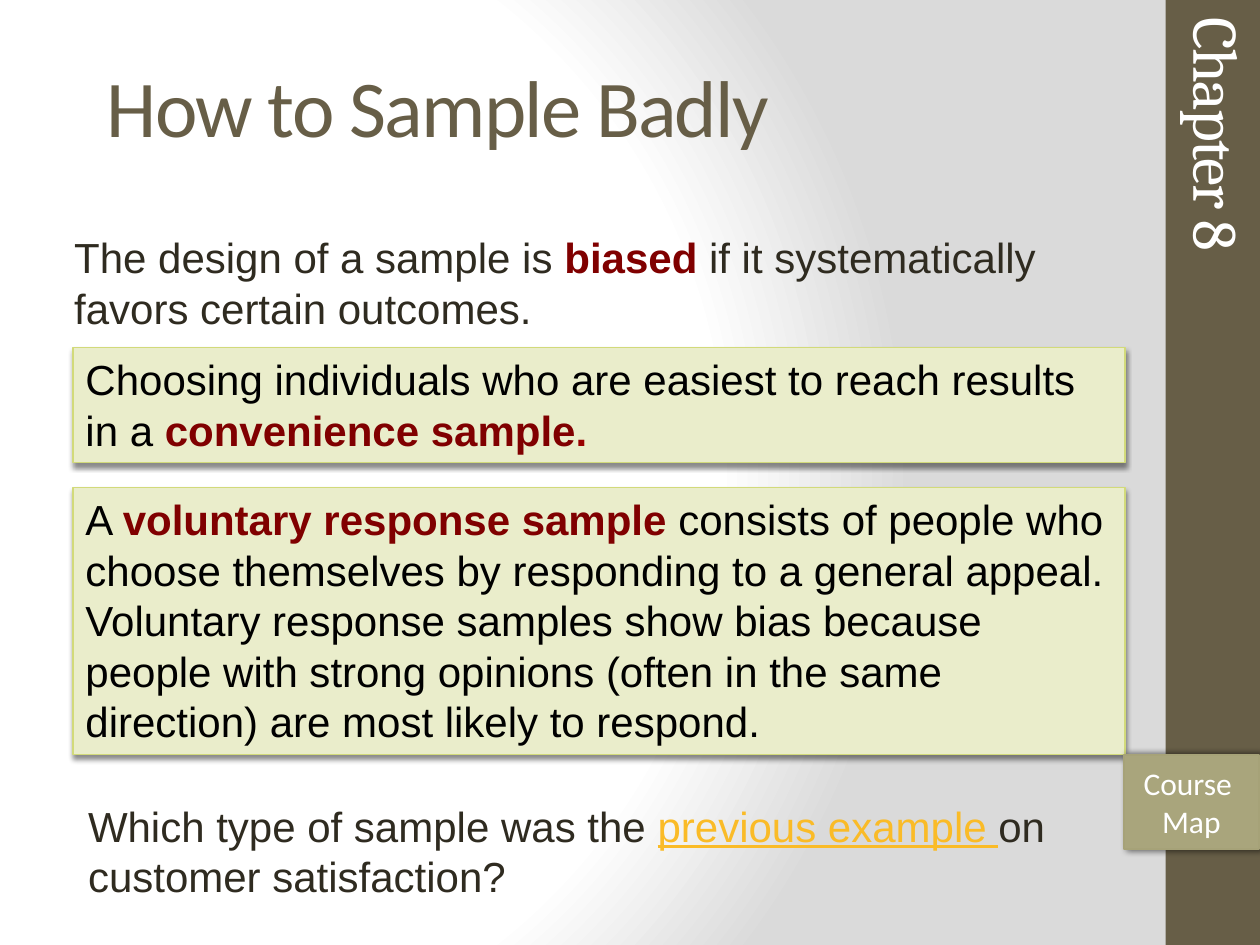
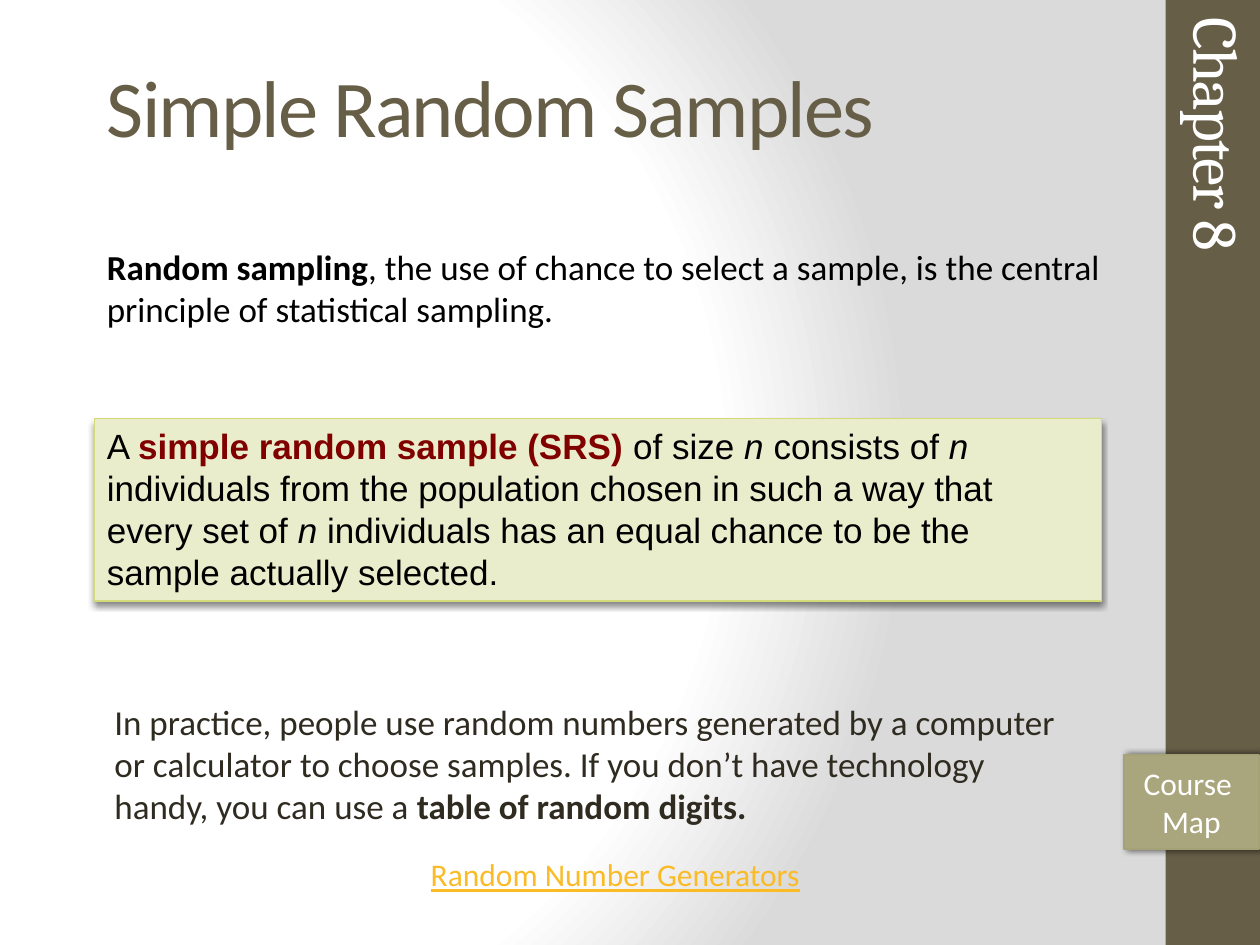
from collections import namedtuple

from lxml.etree import SubElement
from pptx import Presentation
from pptx.dml.color import RGBColor
from pptx.enum.shapes import MSO_SHAPE
from pptx.enum.text import MSO_ANCHOR, MSO_AUTO_SIZE, PP_ALIGN
from pptx.oxml import parse_xml
from pptx.oxml.ns import nsdecls, qn
from pptx.util import Inches, Pt

Box = namedtuple("Box", "left top width height")
PAGE = Box(0, 0, 10, 7.5)
BAND_WIDTH = 0.75

WHITE = RGBColor(0xFF, 0xFF, 0xFF)
BLACK = RGBColor(0, 0, 0)
BACKDROP_GREY = RGBColor(0xDA, 0xDA, 0xDA)
BROWN = RGBColor(0x67, 0x5E, 0x47)
KHAKI = RGBColor(0xA9, 0xA5, 0x7C)
KHAKI_EDGE = RGBColor(0xA6, 0xA2, 0x78)
INK = RGBColor(0x2F, 0x2B, 0x20)
MAROON = RGBColor(0x80, 0, 0)
RED = RGBColor(0x99, 0, 0)
LINK = RGBColor(0xFA, 0xBB, 0x27)
PANEL = RGBColor(0xEA, 0xED, 0xCB)
PANEL_EDGE = RGBColor(0xD2, 0xDA, 0x7A)

TERM = dict(bold=True, color=MAROON)
BOLD = dict(bold=True)
ITALIC = dict(italic=True)
LINKED = dict(underline=True, color=LINK)


def inches(box):
    return [Inches(length) for length in box]


def write(shape, runs, font="Calibri", size=20, color=BLACK, align=PP_ALIGN.LEFT,
          anchor=MSO_ANCHOR.TOP, wrap=True, spacing=None, grow=False):
    frame = shape.text_frame
    frame.word_wrap = wrap
    frame.vertical_anchor = anchor
    frame.auto_size = MSO_AUTO_SIZE.SHAPE_TO_FIT_TEXT if grow else MSO_AUTO_SIZE.NONE
    paragraph = frame.paragraphs[0]
    paragraph.alignment = align
    for text, look in runs:
        for number, line in enumerate(text.split("\n")):
            if number:
                paragraph.add_line_break()
            run = paragraph.add_run()
            run.text = line
            run.font.name = font
            run.font.size = Pt(size)
            run.font.bold = look.get("bold", False)
            run.font.italic = look.get("italic", False)
            run.font.underline = look.get("underline", False)
            run.font.color.rgb = look.get("color", color)
            if spacing is not None:
                run.font._element.set("spc", str(spacing * 100))


def add_label(slide, box, runs, rotation=0, **text_format):
    label = slide.shapes.add_textbox(*inches(box))
    label.rotation = rotation
    write(label, runs, **text_format)


def add_block(slide, box, fill, edge=None, edge_width=1, kind=MSO_SHAPE.RECTANGLE):
    block = slide.shapes.add_shape(kind, *inches(box))
    block.shadow.inherit = False
    block.fill.solid()
    block.fill.fore_color.rgb = fill
    if edge is None:
        block.line.fill.background()
    else:
        block.line.color.rgb = edge
        block.line.width = Pt(edge_width)
    return block


def cast_shadow(shape, opacity, blur, distance, direction):
    effects = shape._element.spPr.find(qn("a:effectLst"))
    shadow = SubElement(effects, qn("a:outerShdw"), blurRad=str(Pt(blur)),
                        dist=str(Pt(distance)), dir=str(direction * 60000),
                        algn="ctr", rotWithShape="0")
    tint = SubElement(shadow, qn("a:srgbClr"), val=str(BLACK))
    SubElement(tint, qn("a:alpha"), val=str(opacity * 1000))


def add_panel(slide, box, runs, **text_format):
    panel = add_block(slide, box, PANEL, PANEL_EDGE, 0.79)
    cast_shadow(panel, 45, 3, 2.4, 90)
    write(panel, runs, grow=True, **text_format)


def paint_backdrop(slide):
    stops = "".join(
        f'<a:gs pos="{position * 1000}"><a:srgbClr val="{color}"/></a:gs>'
        for position, color in ((0, WHITE), (75, WHITE), (100, BACKDROP_GREY)))
    slide._element.cSld.insert(0, parse_xml(
        f'<p:bg {nsdecls("p", "a")}><p:bgPr><a:gradFill rotWithShape="1">'
        f'<a:gsLst>{stops}</a:gsLst><a:path path="circle">'
        '<a:fillToRect l="20000" t="50000" r="100000" b="50000"/></a:path>'
        '</a:gradFill><a:effectLst/></p:bgPr></p:bg>'))


def add_title(slide, page, title):
    box = Box(page.left + 0.75, page.top + 0.17, page.width - 1.5, 1.33)
    add_label(slide, box, [(title, {})], size=46, color=BROWN,
              anchor=MSO_ANCHOR.MIDDLE, spacing=-1)


def add_chapter_band(slide, band):
    add_block(slide, band, BROWN)
    chapter = Box(band.left - 1.87, band.top + 1.93, 4.58, 0.8)
    add_label(slide, chapter, [("Chapter 8", {})], rotation=90, font="Cambria",
              size=36, color=WHITE, anchor=MSO_ANCHOR.MIDDLE, spacing=-1)


def add_course_button(slide, band):
    box = Box(band.left - 0.33, band.top + 5.99, 1.07, 0.75)
    button = add_block(slide, box, KHAKI, KHAKI_EDGE, kind=MSO_SHAPE.ACTION_BUTTON_CUSTOM)
    cast_shadow(button, 60, 4, 2, 0)
    write(button, [("Course \nMap", {})], size=18, color=WHITE,
          align=PP_ALIGN.CENTER, anchor=MSO_ANCHOR.MIDDLE)


def start_slide(deck, title):
    slide = deck.slides.add_slide(deck.slide_layouts[6])
    band = Box(PAGE.width - BAND_WIDTH, PAGE.top, BAND_WIDTH, PAGE.height)
    paint_backdrop(slide)
    add_chapter_band(slide, band)
    add_title(slide, PAGE, title)
    return slide, band


def build_bad_sampling(deck, page):
    slide, band = start_slide(deck, "How to Sample Badly")
    body = dict(font="Arial", size=24)
    left, width, short = page.left + 0.58, 8.35, 0.91
    add_label(slide, Box(page.left + 0.49, page.top + 1.79, width, short), [
        ("The design of a sample is ", {}),
        ("biased ", TERM),
        ("if it systematically favors certain outcomes.", {}),
    ], color=INK, grow=True, **body)
    add_panel(slide, Box(left, page.top + 3.87, width, 2.12), [
        ("A ", {}),
        ("voluntary response sample ", TERM),
        ("consists of people who choose themselves by responding to a general appeal. "
         "Voluntary response samples show bias because people with strong opinions "
         "(often in the same direction) are most likely to respond.", {}),
    ], **body)
    add_panel(slide, Box(left, page.top + 2.76, width, short), [
        ("Choosing individuals who are easiest to reach results in a ", {}),
        ("convenience sample", TERM),
        (".", dict(bold=True, color=RED)),
    ], **body)
    add_course_button(slide, band)
    add_label(slide, Box(page.left + 0.6, page.top + 6.3, 8.31, short), [
        ("Which type of sample was the ", {}),
        ("previous example ", LINKED),
        ("on customer satisfaction?", {}),
    ], color=INK, grow=True, **body)


def build_random_samples(deck, page):
    slide, band = start_slide(deck, "Simple Random Samples")
    left = page.left + 0.75
    add_label(slide, Box(left, page.top + 1.9, 8.86, 0.77), [
        ("Random sampling", BOLD),
        (", the use of chance to select a sample, is the central principle of "
         "statistical sampling.", {}),
    ], grow=True)
    add_panel(slide, Box(left, page.top + 3.32, 7.99, 1.45), [
        ("A ", {}),
        ("simple random sample (SRS) ", TERM),
        ("of size ", {}),
        ("n ", ITALIC),
        ("consists of ", {}),
        ("n", ITALIC),
        (" individuals from the population chosen in such a way that every set of ", {}),
        ("n ", ITALIC),
        ("individuals has an equal chance to be the sample actually selected.", {}),
    ], font="Arial")
    add_label(slide, Box(page.left + 0.81, page.top + 5.51, 7.77, 1.11), [
        ("In practice, people use random numbers generated by a computer or calculator "
         "to choose samples. If you don’t have technology handy, you can use a ", {}),
        ("table of random digits.", BOLD),
    ], color=INK, grow=True)
    add_course_button(slide, band)
    add_label(slide, Box(page.left + 3.32, page.top + 6.74, 3.18, 0.4),
              [("Random Number Generators", LINKED)], size=18, wrap=False, grow=True)


def main():
    deck = Presentation()
    deck.slide_width = Inches(PAGE.width)
    deck.slide_height = Inches(PAGE.height)
    build_bad_sampling(deck, PAGE)
    build_random_samples(deck, PAGE)
    deck.save("out.pptx")


if __name__ == "__main__":
    main()
